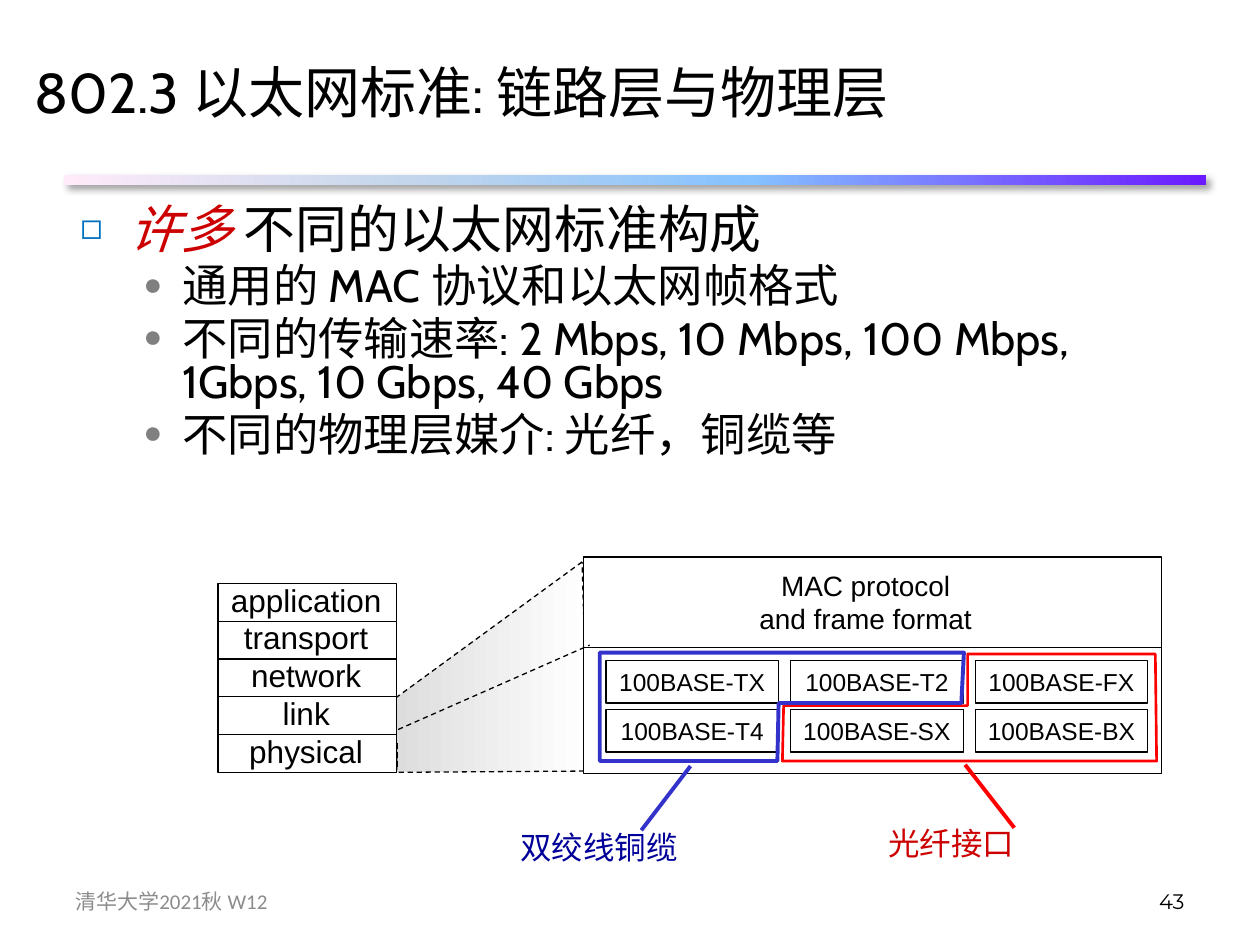
from dataclasses import dataclass
from typing import Optional

from lxml.etree import SubElement
from pptx import Presentation
from pptx.dml.color import RGBColor
from pptx.enum.dml import MSO_LINE
from pptx.enum.shapes import MSO_CONNECTOR, MSO_SHAPE
from pptx.enum.text import MSO_ANCHOR, MSO_AUTO_SIZE, PP_ALIGN
from pptx.oxml.ns import qn
from pptx.util import Emu, Inches, Pt

BLACK = RGBColor(0x00, 0x00, 0x00)
WHITE = RGBColor(0xFF, 0xFF, 0xFF)
GRAY = RGBColor(0x80, 0x80, 0x80)
FOOTER_GRAY = RGBColor(0x8C, 0x8C, 0x8C)
CONE_GRAY = RGBColor(0xDD, 0xDD, 0xDD)
SQUARE_BLUE = RGBColor(0x00, 0x70, 0xC0)
EMPHASIS_RED = RGBColor(0xCC, 0x00, 0x00)
FIBER_RED = RGBColor(0xFF, 0x00, 0x00)
COPPER_BLUE = RGBColor(0x33, 0x33, 0xCC)
COPPER_NAVY = RGBColor(0x00, 0x00, 0x99)
RULE_STOPS = [(0, RGBColor(0xFF, 0xEB, 0xFA)), (30, RGBColor(0xC4, 0xD6, 0xEB)),
              (60, RGBColor(0x85, 0xC2, 0xFF)), (100, RGBColor(0x6B, 0x19, 0xFF))]

prs = Presentation()
prs.slide_width, prs.slide_height = Inches(10), Inches(7.5)
CELL = prs.slide_width / 100  # the slide is a grid of 100 columns by 75 rows
slide = prs.slides.add_slide(prs.slide_layouts[5])
shapes = slide.shapes


@dataclass(frozen=True)
class Box:
    col: float
    row: float
    cols: float
    rows: float

    def emu(self) -> list[Emu]:
        return [cells(n) for n in (self.col, self.row, self.cols, self.rows)]


@dataclass(frozen=True)
class Bullet:
    mark: str
    color: RGBColor
    size: float
    level: int
    margin: float
    hang: float


@dataclass(frozen=True)
class Medium:
    """A family of physical layers: its outline, pointer and caption."""
    outline: list[tuple[float, float]]
    outline_width: float
    pointer: tuple[float, float, float, float]
    color: RGBColor
    caption: str
    caption_box: Box
    caption_color: RGBColor


def cells(count: float) -> Emu:
    return Emu(round(count * CELL))


def style_font(paragraph, name: str, size: float, color: RGBColor) -> None:
    paragraph.font.name = name
    paragraph.font.size = Pt(size)
    paragraph.font.color.rgb = color


def set_line(line, width: float, color: RGBColor = BLACK, dashed: bool = False) -> None:
    line.color.rgb = color
    line.width = Pt(width)
    if dashed:
        line.dash_style = MSO_LINE.DASH


def set_gradient(shape, stops: list[tuple[int, RGBColor]]) -> None:
    """Fill from left to right, with stops given in percent."""
    shape.fill.gradient()
    shape.fill.gradient_angle = 0
    stop_list = shape._element.spPr.find(".//" + qn("a:gsLst"))
    for old_stop in list(stop_list):
        stop_list.remove(old_stop)
    for percent, color in stops:
        stop = SubElement(stop_list, qn("a:gs"), pos=str(percent * 1000))
        SubElement(stop, qn("a:srgbClr"), val=str(color))


def add_rectangle(box: Box, fill: Optional[RGBColor] = None):
    rectangle = shapes.add_shape(MSO_SHAPE.RECTANGLE, *box.emu())
    rectangle.shadow.inherit = False
    if fill is None:
        rectangle.fill.background()
    else:
        rectangle.fill.solid()
        rectangle.fill.fore_color.rgb = fill
    set_line(rectangle.line, 0.75)
    return rectangle


def add_line(x1: float, y1: float, x2: float, y2: float, width: float = 0.75,
             color: RGBColor = BLACK, dashed: bool = False) -> None:
    connector = shapes.add_connector(
        MSO_CONNECTOR.STRAIGHT, cells(x1), cells(y1), cells(x2), cells(y2))
    set_line(connector.line, width, color, dashed)
    SubElement(connector._element.spPr, qn("a:effectLst"))


def add_outline(points: list[tuple[float, float]]):
    """Closed outline through grid points, without fill."""
    start, *others = [(cells(x), cells(y)) for x, y in points]
    builder = shapes.build_freeform(*start)
    builder.add_line_segments(others, close=True)
    outline = builder.convert_to_shape()
    outline.shadow.inherit = False
    outline.fill.background()
    return outline


def write(frame, lines: list[str], size: float, color: RGBColor = BLACK, name: str = "Arial",
          align: PP_ALIGN = PP_ALIGN.LEFT, anchor: MSO_ANCHOR = MSO_ANCHOR.TOP) -> None:
    frame.text = "\n".join(lines)
    frame.word_wrap = False
    frame.auto_size = MSO_AUTO_SIZE.NONE
    frame.vertical_anchor = anchor
    for paragraph in frame.paragraphs:
        paragraph.alignment = align
        style_font(paragraph, name, size, color)


def add_text(box: Box, lines: list[str], size: float, **style) -> None:
    write(shapes.add_textbox(*box.emu()).text_frame, lines, size, **style)


def add_bullet(paragraph, bullet: Bullet) -> None:
    paragraph.level = bullet.level
    paragraph.line_spacing = 0.8
    paragraph.space_before = Pt(bullet.size * 0.2)
    style_font(paragraph, "Cabin", bullet.size, BLACK)
    props = paragraph._p.get_or_add_pPr()
    props.set("marL", str(Inches(bullet.margin)))
    props.set("indent", str(-Inches(bullet.hang)))
    mark = [SubElement(props, qn("a:" + tag))
            for tag in ("buClr", "buSzPct", "buFont", "buChar")]
    SubElement(mark[0], qn("a:srgbClr"), val=str(bullet.color))
    mark[1].set("val", "70000")
    mark[2].set("typeface", "Arial")
    mark[3].set("char", bullet.mark)
    defaults = props.find(qn("a:defRPr"))
    if defaults is not None:
        props.append(defaults)


# Title and rule
title = shapes.title
title.left, title.top, title.width, title.height = Box(1.7, 1, 95.3, 12.5).emu()
write(title.text_frame, ["802.3 以太网标准: 链路层与物理层"], 32, name="Cabin",
      anchor=MSO_ANCHOR.MIDDLE)
rule = add_rectangle(Box(5.1, 13.9, 90.6, 0.8))
set_gradient(rule, RULE_STOPS)
rule.line.fill.background()
shadow = SubElement(rule._element.spPr.find(qn("a:effectLst")), qn("a:outerShdw"),
                    blurRad=str(Pt(4)), dist=str(Pt(3)), dir="2700000", rotWithShape="0")
shadow_color = SubElement(shadow, qn("a:srgbClr"), val=str(BLACK))
SubElement(shadow_color, qn("a:alpha"), val="40000")

# Statements
statements = shapes.add_textbox(*Box(5.4, 16.1, 85, 23).emu()).text_frame
statements.word_wrap = True
headline = statements.paragraphs[0]
add_bullet(headline, Bullet("◻", SQUARE_BLUE, 29.6, 0, 0.38, 0.38))
emphasis = headline.add_run()
emphasis.text = "许多 "
emphasis.font.italic = True
emphasis.font.color.rgb = EMPHASIS_RED
headline.add_run().text = "不同的以太网标准构成"
for detail in ("通用的 MAC 协议和以太网帧格式",
               "不同的传输速率: 2 Mbps, 10 Mbps, 100 Mbps, 1Gbps, 10 Gbps, 40 Gbps",
               "不同的物理层媒介: 光纤，铜缆等"):
    paragraph = statements.add_paragraph()
    paragraph.text = detail
    add_bullet(paragraph, Bullet("●", GRAY, 25.9, 1, 0.81, 0.31))

# Protocol stack, widening into its link and physical layers
cone = add_outline([(46.2, 44.6), (31.4, 55.4), (31.5, 61.3), (46.7, 61.2)])
set_gradient(cone, [(0, CONE_GRAY), (100, WHITE)])
set_line(cone.line, 0.75, dashed=True)
LAYERS = ["application", "transport", "network", "link", "physical"]
stack = Box(17.3, 46.3, 14.2, 15)
stack_right = stack.col + stack.cols
layer_rows = stack.rows / len(LAYERS)
add_rectangle(stack, WHITE)
add_text(Box(17.3, 45.6, 14, 16), LAYERS, 18, align=PP_ALIGN.CENTER)
for index in range(1, len(LAYERS)):
    border = stack.row + index * layer_rows
    add_line(stack.col, border, stack_right, border)
for side in (stack.col, stack_right):
    add_line(side, 59, side, 60.9, dashed=True)

# Link layer above the physical layers
add_rectangle(Box(46.3, 44.2, 45.9, 17.2), WHITE)
add_line(46.3, 51.4, 92.2, 51.4)
add_text(Box(59.2, 44.6, 19, 6.4), ["MAC protocol", "and frame format"], 16,
         align=PP_ALIGN.CENTER)
add_line(31.6, 57.9, 46.8, 51.2, dashed=True)
PHYSICAL_LAYERS = [["100BASE-TX", "100BASE-T2", "100BASE-FX"],
                   ["100BASE-T4", "100BASE-SX", "100BASE-BX"]]
for row, names in enumerate(PHYSICAL_LAYERS):
    for col, name in enumerate(names):
        layer = add_rectangle(Box(48.1 + 14.65 * col, 52.4 + 3.9 * row, 13.7, 3.4))
        write(layer.text_frame, [name], 14, align=PP_ALIGN.CENTER, anchor=MSO_ANCHOR.MIDDLE)

MEDIA = [
    Medium([(76.8, 51.9), (76.8, 56), (62.2, 56), (62.1, 60.4), (91.8, 60.4), (91.7, 51.9)],
           1.5, (76.6, 60.7, 80.5, 65.7), FIBER_RED,
           "光纤接口", Box(69.5, 64.9, 12.1, 4), EMPHASIS_RED),
    Medium([(76.5, 51.8), (76.3, 55.8), (61.8, 55.8), (61.7, 60.4), (47.6, 60.4), (47.6, 51.8)],
           2.25, (54.8, 60.8, 50.9, 65.9), COPPER_BLUE,
           "双绞线铜缆", Box(40.3, 65.2, 14.6, 4), COPPER_NAVY),
]
for medium in MEDIA:
    set_line(add_outline(medium.outline).line, medium.outline_width, medium.color)
    add_line(*medium.pointer, width=2.25, color=medium.color)
    add_text(medium.caption_box, [medium.caption], 18, color=medium.caption_color)

# Footer
add_text(Box(71.7, 69.5, 23.3, 4), ["43"], 12, name="Montserrat",
         align=PP_ALIGN.RIGHT, anchor=MSO_ANCHOR.MIDDLE)
add_text(Box(5, 69.5, 23.3, 4), ["清华大学2021秋 W12"], 12, name="Calibri",
         color=FOOTER_GRAY, anchor=MSO_ANCHOR.MIDDLE)

prs.save("out.pptx")
